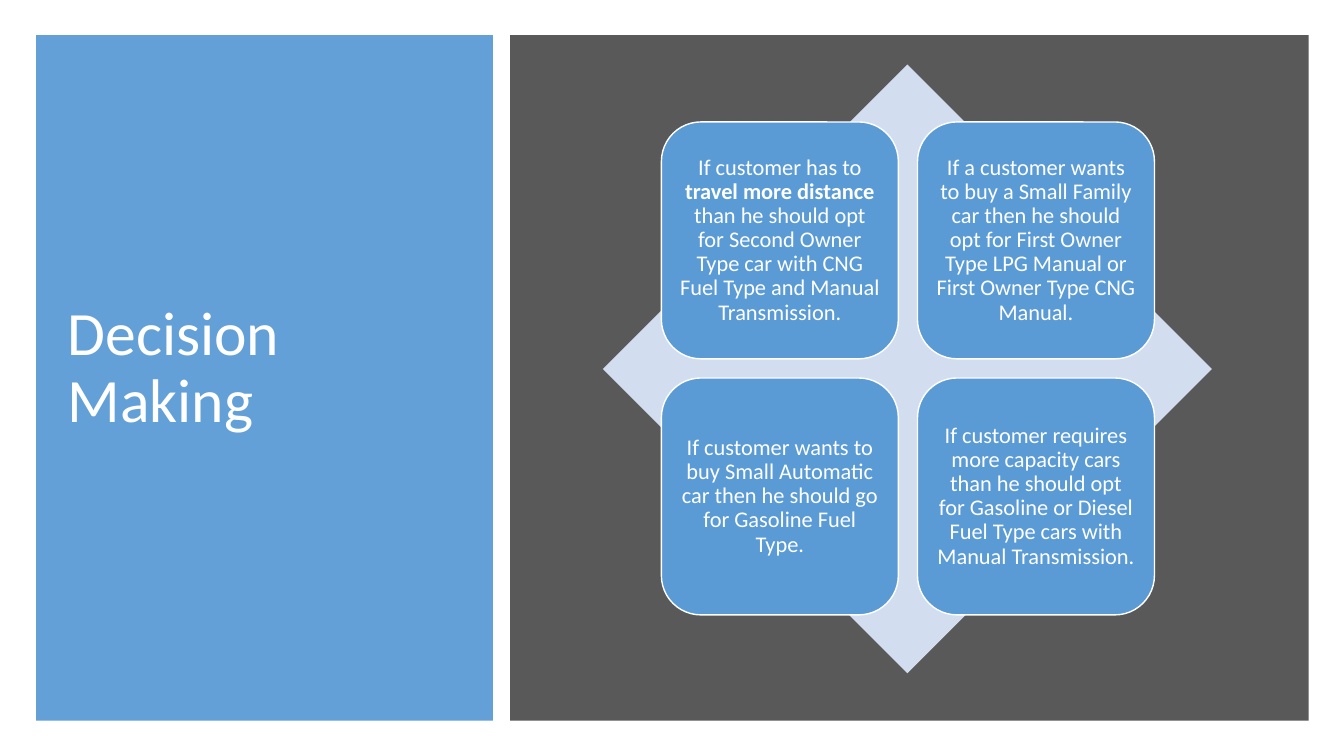
from lxml.etree import SubElement
from pptx import Presentation
from pptx.dml.color import RGBColor
from pptx.enum.shapes import MSO_SHAPE
from pptx.enum.text import MSO_ANCHOR, MSO_AUTO_SIZE, PP_ALIGN
from pptx.oxml.ns import qn
from pptx.util import Inches, Pt

WHITE = RGBColor(0xFF, 0xFF, 0xFF)
BLUE = RGBColor(0x5B, 0x9B, 0xD5)
PALE_BLUE = RGBColor(0xD2, 0xDE, 0xEF)
DARK_GRAY = RGBColor(0x59, 0x59, 0x59)
FONT = "Calibri"

CARD_SIZE = 2.35
CARD_STEP = 2.54
CARDS_LEFT, CARDS_TOP = 6.56, 1.21

# Each piece of advice is a list of (text, bold) runs
ADVICE = [
    [("If customer has to ", False),
     ("travel more distance", True),
     (" than he should opt for Second Owner Type car with CNG Fuel Type "
      "and Manual Transmission.", False)],
    [("If a customer wants to buy a Small Family car then he should opt for "
      "First Owner Type LPG Manual or First Owner Type CNG Manual.", False)],
    [("If customer wants to buy Small Automatic car then he should go for "
      "Gasoline Fuel Type.", False)],
    [("If customer requires more capacity cars than he should opt for "
      "Gasoline or Diesel Fuel Type cars with Manual Transmission.", False)],
]


def write_text(frame, runs, size, align=PP_ALIGN.LEFT, inset=None):
    frame.word_wrap = True
    frame.auto_size = MSO_AUTO_SIZE.NONE
    frame.vertical_anchor = MSO_ANCHOR.MIDDLE
    if inset is not None:
        frame.margin_left = frame.margin_right = Inches(inset)
        frame.margin_top = frame.margin_bottom = Inches(inset)
    paragraph = frame.paragraphs[0]
    paragraph.alignment = align
    paragraph.line_spacing = 0.9
    for text, bold in runs:
        run = paragraph.add_run()
        run.text = text
        run.font.name = FONT
        run.font.size = Pt(size)
        run.font.bold = bold
        run.font.color.rgb = WHITE


def add_block(slide, kind, left, top, width, height, color, outline=None):
    block = slide.shapes.add_shape(
        kind, Inches(left), Inches(top), Inches(width), Inches(height))
    block.shadow.inherit = False
    block.fill.solid()
    block.fill.fore_color.rgb = color
    if outline is None:
        block.line.fill.background()
    else:
        block.line.color.rgb = outline
        block.line.width = Pt(1)
    return block


def set_opacity(block, percent):
    color = block.element.spPr.find(qn("a:solidFill"))[0]
    SubElement(color, qn("a:alpha")).set("val", str(percent * 1000))


def add_title(slide, text):
    title = slide.shapes.title
    title.left, title.top = Inches(0.57), Inches(0.64)
    title.width, title.height = Inches(4.07), Inches(6.04)
    write_text(title.text_frame, [(text, False)], size=44)
    return title


def add_advice_card(slide, index, runs):
    row, column = divmod(index, 2)
    card = add_block(slide, MSO_SHAPE.ROUNDED_RECTANGLE,
                     CARDS_LEFT + column * CARD_STEP,
                     CARDS_TOP + row * CARD_STEP,
                     CARD_SIZE, CARD_SIZE, BLUE, outline=WHITE)
    write_text(card.text_frame, runs, size=16, align=PP_ALIGN.CENTER, inset=0.07)


def main():
    deck = Presentation()
    deck.slide_width, deck.slide_height = Inches(13.33), Inches(7.5)
    slide = deck.slides.add_slide(deck.slide_layouts[5])

    # Title on its blue panel, with the panel moved behind the text
    title = add_title(slide, "Decision Making")
    title_panel = add_block(slide, MSO_SHAPE.RECTANGLE, 0.36, 0.35, 4.53, 6.8, BLUE)
    set_opacity(title_panel, 95)
    title.element.addprevious(title_panel.element)

    # Dark panel with the diamond
    add_block(slide, MSO_SHAPE.RECTANGLE, 5.06, 0.35, 7.92, 6.8, DARK_GRAY)
    add_block(slide, MSO_SHAPE.DIAMOND, 5.98, 0.64, 6.04, 6.04, PALE_BLUE)

    # Two by two advice cards
    for index, runs in enumerate(ADVICE):
        add_advice_card(slide, index, runs)

    deck.save("out.pptx")


if __name__ == "__main__":
    main()
